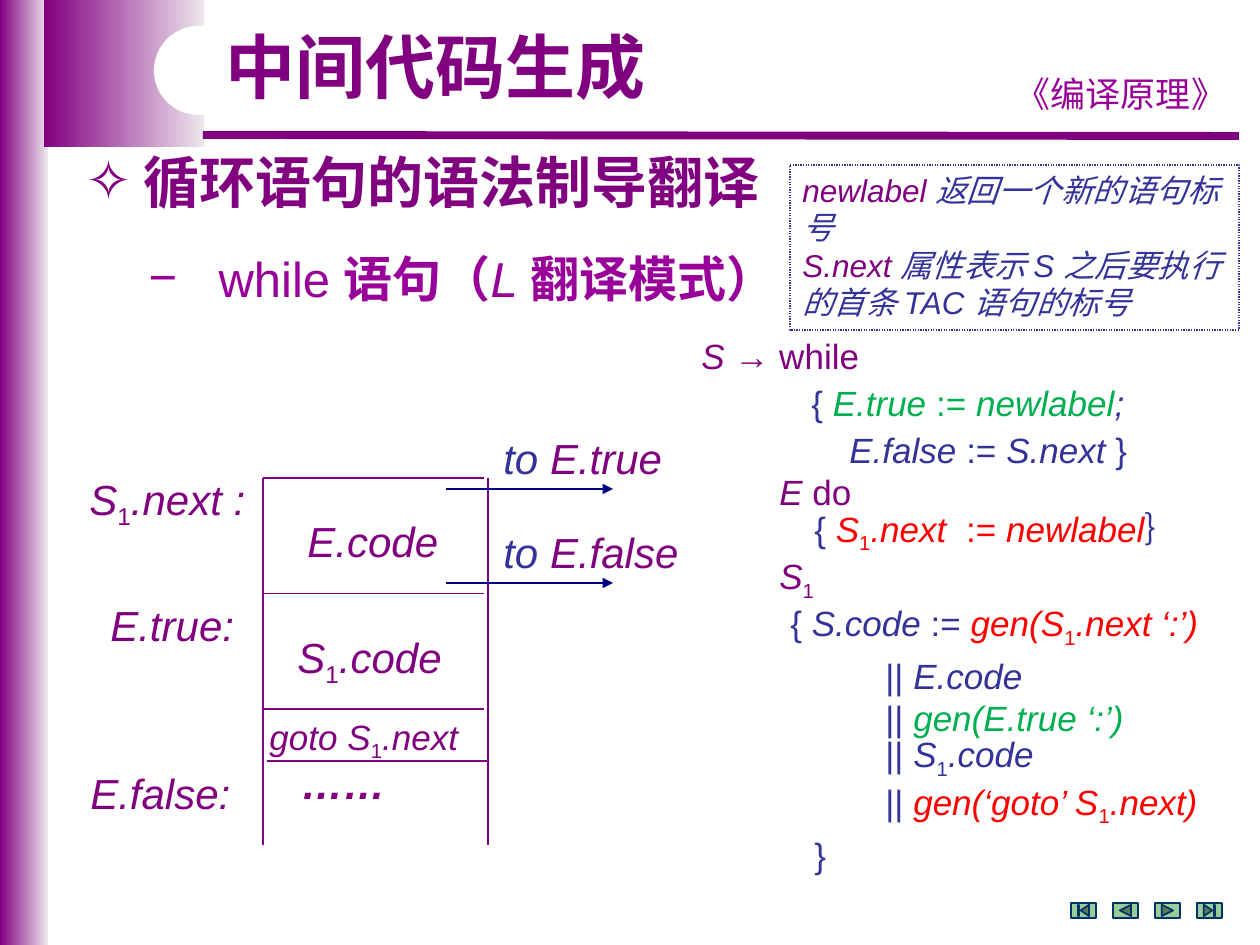
from lxml.etree import SubElement
from pptx import Presentation
from pptx.dml.color import RGBColor
from pptx.enum.dml import MSO_LINE
from pptx.enum.shapes import MSO_CONNECTOR, MSO_SHAPE
from pptx.enum.text import MSO_ANCHOR, MSO_AUTO_SIZE, PP_ALIGN
from pptx.oxml.ns import qn
from pptx.util import Emu, Pt

PLUM = RGBColor(0x80, 0x00, 0x80)
MAUVE = RGBColor(0x99, 0x00, 0x99)
PALE = RGBColor(0xED, 0xE7, 0xED)
BLUE = RGBColor(0x33, 0x33, 0x99)
NAVY = RGBColor(0x00, 0x00, 0x80)
DEEP = RGBColor(0x00, 0x33, 0x66)
SAGE = RGBColor(0x99, 0xCC, 0x99)
GREEN = RGBColor(0x00, 0xB0, 0x50)
RED = RGBColor(0xFF, 0x00, 0x00)
WHITE = RGBColor(0xFF, 0xFF, 0xFF)
HAN = "Noto Sans CJK SC"
SCALE = 914400 / 126


def px(num):
    return Emu(round(num * SCALE))


class Deck:
    """Draws styled elements on the current slide; underscores in text wrap a subscript."""

    def __init__(self, slide, font="Arial"):
        self.slide = slide
        self.shapes = slide.shapes
        self.font = font

    def run(self, par, text, size, color, style="", font=None):
        for num, part in enumerate(text.split("_")):
            if not part:
                continue
            run = par.add_run()
            run.text = part
            face = run.font
            face.size = Pt(size)
            face.name = font or self.font
            face.color.rgb = color
            face.bold = "b" in style
            face.italic = "i" in style and num % 2 == 0
            props = face._element
            SubElement(props, qn("a:ea")).set("typeface", HAN)
            if num % 2:
                props.set("baseline", "-25000")

    def para(self, frame, runs, size, first=True, left=0, mark=None,
             lead=None, gap=0, font=None, align=PP_ALIGN.LEFT):
        par = frame.paragraphs[0] if first else frame.add_paragraph()
        par.alignment = align
        par.space_before = Pt(gap)
        if lead:
            par.line_spacing = lead
        props = par._p.get_or_add_pPr()
        props.set("marL", str(px(left)))
        props.set("indent", str(px(-left if mark else 0)))
        if mark:
            SubElement(props, qn("a:buFont")).set("typeface", "Arial")
            SubElement(props, qn("a:buChar")).set("char", mark)
            par.font.size = Pt(size)
            par.font.color.rgb = runs[0][1]
        for text, color, style in runs:
            self.run(par, text, size, color, style, font)

    def holder(self, index, x, y, w, h, runs, size, anchor=MSO_ANCHOR.TOP, **look):
        box = self.slide.placeholders[index]
        self.shapes.element.append(box.element)
        box.left, box.top, box.width, box.height = map(px, (x, y, w, h))
        frame = box.text_frame
        frame.auto_size = MSO_AUTO_SIZE.NONE
        frame.vertical_anchor = anchor
        self.para(frame, runs, size, **look)

    def text(self, x, y, w, h, wrap=False):
        frame = self.shapes.add_textbox(*map(px, (x, y, w, h))).text_frame
        frame.word_wrap = wrap
        return frame

    def label(self, x, y, w, runs, size=24, **look):
        self.para(self.text(x, y, w, 63), runs, size, **look)

    def shape(self, kind, x, y, w, h, fill=None, line=None, width=1):
        item = self.shapes.add_shape(kind, *map(px, (x, y, w, h)))
        item.shadow.inherit = False
        if fill:
            item.fill.solid()
            item.fill.fore_color.rgb = fill
        else:
            item.fill.background()
        if line:
            item.line.color.rgb = line
            item.line.width = Pt(width)
        else:
            item.line.fill.background()
        return item

    def fade(self, x, y, w, h):
        fill = self.shape(MSO_SHAPE.RECTANGLE, x, y, w, h).fill
        fill.gradient()
        fill.gradient_angle = 0
        for stop, color, place in zip(fill.gradient_stops, (PLUM, PALE), (0, 1)):
            stop.color.rgb = color
            stop.position = place

    def line(self, x1, y1, x2, y2, color=PLUM, width=0.75, arrow=False):
        item = self.shapes.add_connector(
            MSO_CONNECTOR.STRAIGHT, *map(px, (x1, y1, x2, y2)))
        item.line.color.rgb = color
        item.line.width = Pt(width)
        if arrow:
            SubElement(item.line._get_or_add_ln(), qn("a:tailEnd")).set("type", "triangle")
        SubElement(item._element.spPr, qn("a:effectLst"))


def frame_page(deck):
    deck.fade(0, 0, 48, 945)
    deck.fade(44, 0, 160, 147)
    deck.line(203, 135, 1239, 136, width=4.5)
    deck.label(997, 66, 248, [("《编译原理》", MAUVE, "")], 20,
               font="Comic Neue", align=PP_ALIGN.CENTER)
    pill = deck.shape(MSO_SHAPE.ROUNDED_RECTANGLE, 154, 26, 456, 89, WHITE)
    pill.adjustments[0] = 0.5
    deck.holder(0, 213, 26, 449, 89, [("中间代码生成", PLUM, "b")], 40,
                MSO_ANCHOR.MIDDLE, lead=0.9)
    deck.holder(1, 73, 141, 1144, 79, [("循环语句的语法制导翻译", PLUM, "b")], 32,
                left=58, mark="✧", font=HAN)
    deck.holder(2, 136, 242, 950, 72,
                [("while ", MAUVE, ""), ("语句（", MAUVE, "b"),
                 ("L ", MAUVE, "i"), ("翻译模式）", MAUVE, "b")], 28,
                left=70, mark="−")


def draw_flow(deck):
    left, right, top, base = 263, 488, 478, 845
    for x in (left, right):
        deck.line(x, top, x, base)
    for row in range(3):
        y = top + row * 231 / 2
        deck.line(left, y, right - 4, y)
    deck.line(left + 4, 761, right, 761)
    for x, y, w, text in (
            (295, 509, 156, "E.code"), (285, 625, 171, "S_1_.code"),
            (77, 467, 185, "S_1_.next :"), (98, 593, 149, "E.true:"),
            (78, 761, 165, "E.false:")):
        deck.label(x, y, w, [(text, PLUM, "i")])
    deck.label(257, 709, 246, [("goto S_1_.next", PLUM, "i")], 20)
    deck.label(289, 751, 110, [("……", PLUM, "bi")])
    for y, goal in ((426, "E.true"), (520, "E.false")):
        deck.label(491, y, 200, [("to ", BLUE, "i"), (goal, PLUM, "i")])
        deck.line(446, y + 63, 613, y + 63, NAVY, arrow=True)


def write_rules(deck):
    bars = ("|| ", BLUE, "")
    rows = [
        (0, 0, [("S ", PLUM, "i"), ("→ while", PLUM, "")]),
        (110, 3, [("{ ", BLUE, ""), ("E.true ", GREEN, "i"), (":= ", GREEN, ""),
                  ("newlabel", GREEN, "i"), (";", BLUE, "i")]),
        (148, 3, [("E.false ", BLUE, "i"), (":= ", BLUE, ""),
                  ("S.next", BLUE, "i"), (" }", BLUE, "")]),
        (78, 0, [("E", PLUM, "i"), (" do", PLUM, "")]),
        (113, 0, [("{ ", BLUE, ""), ("S_1_.next  ", RED, "i"), (":= ", RED, ""),
                  ("newlabel", RED, "i"), ("｝", BLUE, "")]),
        (78, 3, [("S_1_", PLUM, "i")]),
        (89, 3, [("{ ", BLUE, ""), ("S.code ", BLUE, "i"), (":= ", BLUE, ""),
                 ("gen(S_1_.next ‘:’)", RED, "i")]),
        (184, 3, [bars, ("E.code", BLUE, "i")]),
        (184, 0, [bars, ("gen(E.true ‘:’)", GREEN, "i")]),
        (184, 0, [bars, ("S_1_.code", BLUE, "i")]),
        (184, 3, [bars, ("gen(‘goto’ S_1_.next)", RED, "i")]),
        (113, 3, [("}", BLUE, "")]),
    ]
    frame = deck.text(689, 328, 552, 522, wrap=True)
    for num, (left, gap, runs) in enumerate(rows):
        deck.para(frame, runs, 20, num == 0, left, lead=Pt(24), gap=gap)


def add_note(deck):
    box = deck.shape(MSO_SHAPE.RECTANGLE, 790, 165, 449, 165, line=BLUE, width=0.75)
    box.line.dash_style = MSO_LINE.ROUND_DOT
    frame = box.text_frame
    frame.word_wrap = True
    frame.vertical_anchor = MSO_ANCHOR.TOP
    notes = (("newlabel ", "返回一个新的语句标号"),
             ("S.next ", "属性表示 S 之后要执行的首条 TAC 语句的标号"))
    for num, (term, text) in enumerate(notes):
        deck.para(frame, [(term, PLUM, "i"), (text, BLUE, "i")], 18,
                  num == 0, lead=Pt(21.4))


def add_keys(deck):
    kinds = (MSO_SHAPE.ACTION_BUTTON_BEGINNING, MSO_SHAPE.ACTION_BUTTON_BACK_OR_PREVIOUS,
             MSO_SHAPE.ACTION_BUTTON_FORWARD_OR_NEXT, MSO_SHAPE.ACTION_BUTTON_END)
    for num, kind in enumerate(kinds):
        deck.shape(kind, 1071 + 42 * num, 903, 25, 15, SAGE, DEEP)


def main():
    show = Presentation()
    show.slide_width, show.slide_height = px(1260), px(945)
    deck = Deck(show.slides.add_slide(show.slide_layouts[3]))
    frame_page(deck)
    draw_flow(deck)
    write_rules(deck)
    add_keys(deck)
    add_note(deck)
    show.save("out.pptx")


if __name__ == "__main__":
    main()
